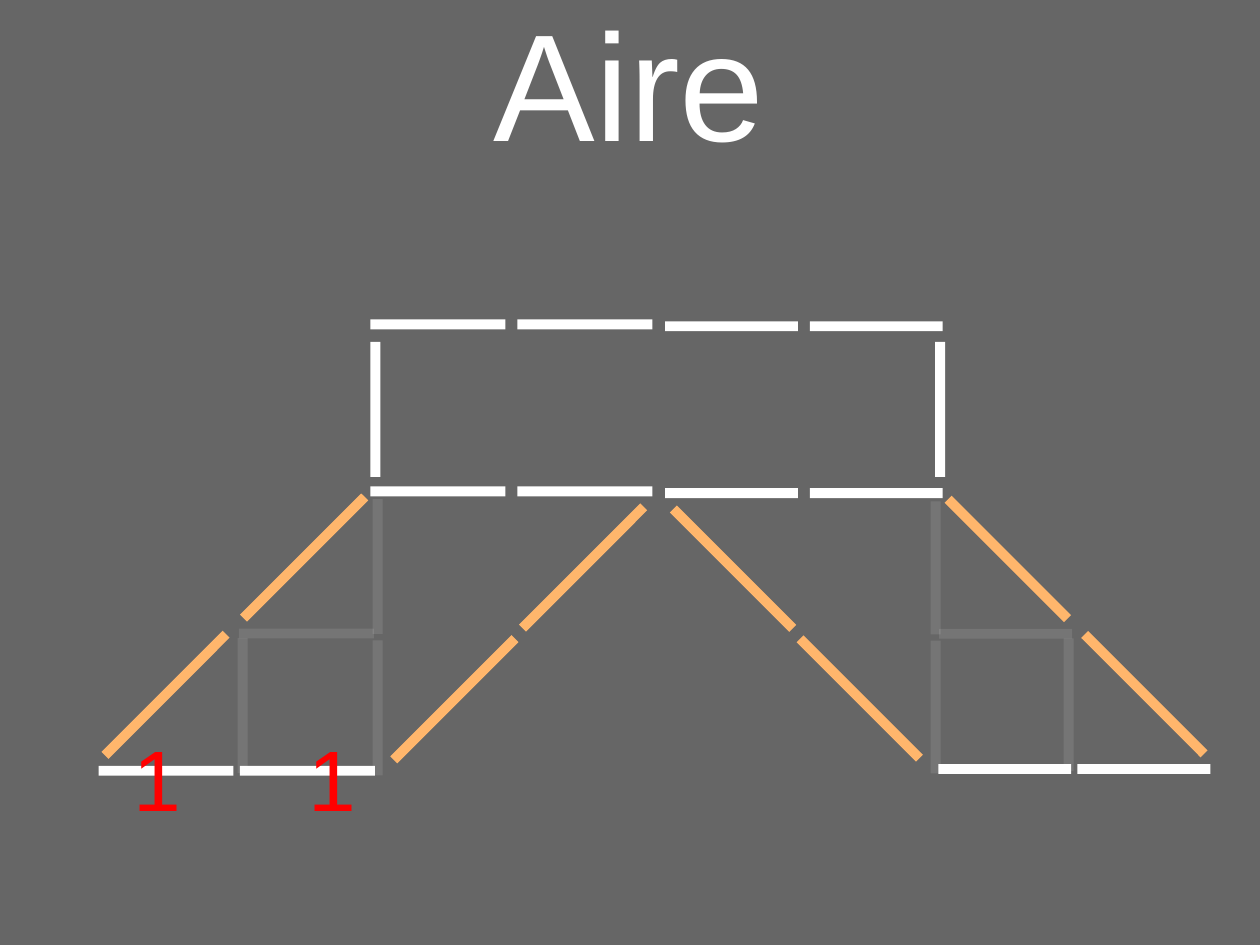
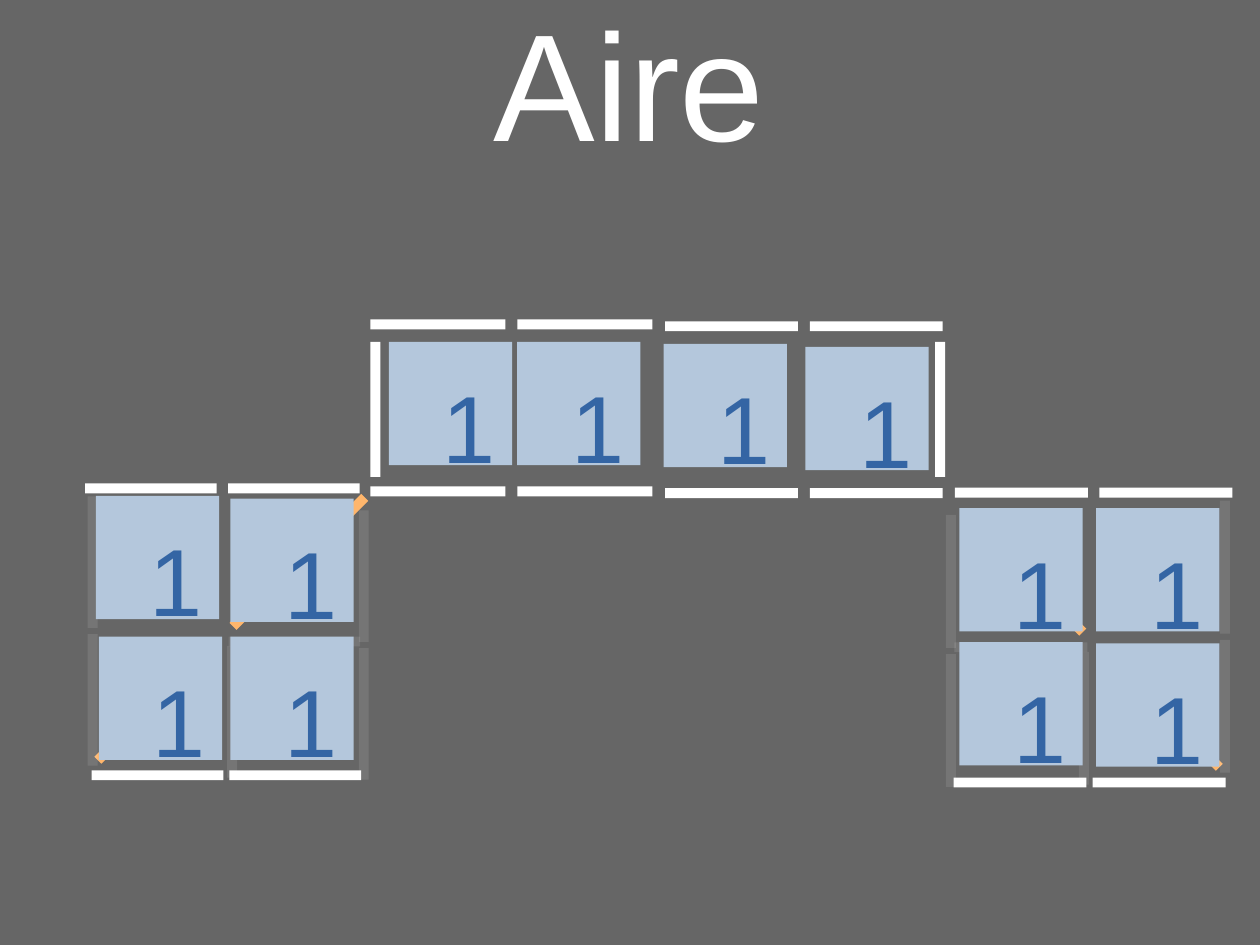
from lxml import etree
from pptx import Presentation
from pptx.dml.color import RGBColor
from pptx.enum.shapes import MSO_SHAPE
from pptx.enum.text import MSO_ANCHOR, PP_ALIGN
from pptx.oxml.ns import qn
from pptx.util import Cm, Pt

RECTANGLE = MSO_SHAPE.RECTANGLE
MIDDLE = MSO_ANCHOR.MIDDLE
TOP = MSO_ANCHOR.TOP
CENTER = PP_ALIGN.CENTER
LEFT = PP_ALIGN.LEFT

GREY = RGBColor(0x66, 0x66, 0x66)
WHITE = RGBColor(0xFF, 0xFF, 0xFF)
ORANGE = RGBColor(0xFF, 0xB6, 0x6C)
RED = RGBColor(0xFF, 0x00, 0x00)
PALE_BLUE = RGBColor(0xB4, 0xC7, 0xDC)
BLUE = RGBColor(0x34, 0x65, 0xA4)

FONT = "Arial"
TITLE_ONLY = 5
STICK = 3.0
DIAGONAL = 3.81
THICKNESS = 0.22
FAINT_OPACITY = 10
TILE = 2.74

BASE = [(0, 0), (3.14, 0)]
SLOPE = [(-0.01, -1.69), (3.07, -4.74)]
BRACE = [(6.41, -1.59), (9.27, -4.52)]
FAINT_POSTS = [(4.7, -1.4), (4.7, -4.54), (1.7, -1.45)]
FAINT_BEAM = [(3.12, -3.05)]
TOP_BEAMS = [(-0.15, -6.54), (3.11, -6.54)]
OUTER_POSTS = [(-1.48, -1.72), (-1.48, -4.86)]

LEFT_TILES = [(2.13, 11.02), (5.12, 11.08), (2.2, 14.15), (5.12, 14.15)]
DECK_TILES = [(8.64, 7.6), (11.49, 7.6), (14.75, 7.64), (17.9, 7.71)]
RIGHT_TILES = [(21.32, 11.29), (24.36, 11.29), (21.32, 14.27), (24.36, 14.3)]


def add_rectangle(slide, left, top, width, height, color):
    rectangle = slide.shapes.add_shape(RECTANGLE, Cm(left), Cm(top), Cm(width), Cm(height))
    rectangle.shadow.inherit = False
    rectangle.fill.solid()
    rectangle.fill.fore_color.rgb = color
    rectangle.line.fill.background()
    return rectangle


def add_stick(slide, center_x, center_y, length, angle=0, color=WHITE, opacity=100):
    stick = add_rectangle(slide, center_x - length / 2, center_y - THICKNESS / 2,
                          length, THICKNESS, color)
    stick.rotation = angle
    if opacity < 100:
        tone = stick.fill._xPr.find(qn("a:solidFill")).find(qn("a:srgbClr"))
        etree.SubElement(tone, qn("a:alpha")).set("val", str(opacity * 1000))


def write(frame, text, size, color, align):
    paragraph = frame.paragraphs[0]
    paragraph.alignment = align
    run = paragraph.add_run()
    run.text = text
    run.font.name = FONT
    run.font.size = Pt(size)
    run.font.color.rgb = color


def add_digit(slide, left, top, size, color):
    digit = slide.shapes.add_textbox(Cm(left), Cm(top), Cm(2.39), Cm(2.62))
    digit.text_frame.word_wrap = True
    digit.text_frame.vertical_anchor = TOP
    write(digit.text_frame, "1", size, color, LEFT)


def add_tile(slide, left, top):
    add_rectangle(slide, left, top, TILE, TILE, PALE_BLUE)
    add_digit(slide, left + 0.95, top + 0.45, 60, BLUE)


def add_deck(slide, left, top):
    halves = [(0, 0, STICK, 3.27), (6.55, 0.04, 2.95, 3.22)]
    for half_left, drop, length, step in halves:
        for column in range(2):
            for row in range(2):
                add_stick(slide, left + half_left + column * step + length / 2,
                          top + drop + row * 3.71, length)
    for post in (0.11, 12.66):
        add_stick(slide, left + post, top + 1.89, STICK, 90)


def add_leg(slide, base_x, base_y, scale, direction, closed):
    slant = -45 * direction
    parts = [
        (BASE, STICK, 0, WHITE, 100),
        (SLOPE, DIAGONAL, slant, ORANGE, 100),
        (FAINT_POSTS, STICK, 90, WHITE, FAINT_OPACITY),
        (FAINT_BEAM, STICK, 0, WHITE, FAINT_OPACITY),
    ]
    if closed:
        parts += [
            (TOP_BEAMS, STICK, 0, WHITE, 100),
            (OUTER_POSTS, STICK, 90, WHITE, FAINT_OPACITY),
        ]
    else:
        parts.append((BRACE, DIAGONAL, slant, ORANGE, 100))
    for centers, length, angle, color, opacity in parts:
        for x, y in centers:
            add_stick(slide, base_x + direction * scale * x, base_y + scale * y,
                      scale * length, angle, color, opacity)


def add_titled_slide(deck, text):
    slide = deck.slides.add_slide(deck.slide_layouts[TITLE_ONLY])
    title = slide.shapes.title
    title.left, title.top, title.width, title.height = Cm(5.97), Cm(-0.41), Cm(16.03), Cm(4.39)
    frame = title.text_frame
    frame.margin_left = frame.margin_right = frame.margin_top = frame.margin_bottom = 0
    frame.vertical_anchor = MIDDLE
    write(frame, text, 96, WHITE, CENTER)
    return slide


def build_open_figure(deck):
    slide = add_titled_slide(deck, "Aire")
    add_leg(slide, 3.69, 17.13, 1, 1, False)
    add_leg(slide, 25.42, 17.09, 0.985, -1, False)
    for left in (2.72, 6.6):
        add_digit(slide, left, 16, 54, RED)
    add_deck(slide, 8.23, 7.21)


def build_tiled_figure(deck):
    slide = add_titled_slide(deck, "Aire")
    add_stick(slide, 6.76, 12.4, DIAGONAL, -45, ORANGE)
    add_deck(slide, 8.23, 7.21)
    add_leg(slide, 3.5, 17.23, 0.975, 1, True)
    add_leg(slide, 25.76, 17.39, 0.985, -1, True)
    for left, top in LEFT_TILES + DECK_TILES + RIGHT_TILES:
        add_tile(slide, left, top)


def main():
    deck = Presentation()
    deck.slide_width, deck.slide_height = Cm(28), Cm(21)
    backdrop = deck.slide_master.background.fill
    backdrop.solid()
    backdrop.fore_color.rgb = GREY
    build_open_figure(deck)
    build_tiled_figure(deck)
    deck.save("out.pptx")


if __name__ == "__main__":
    main()
